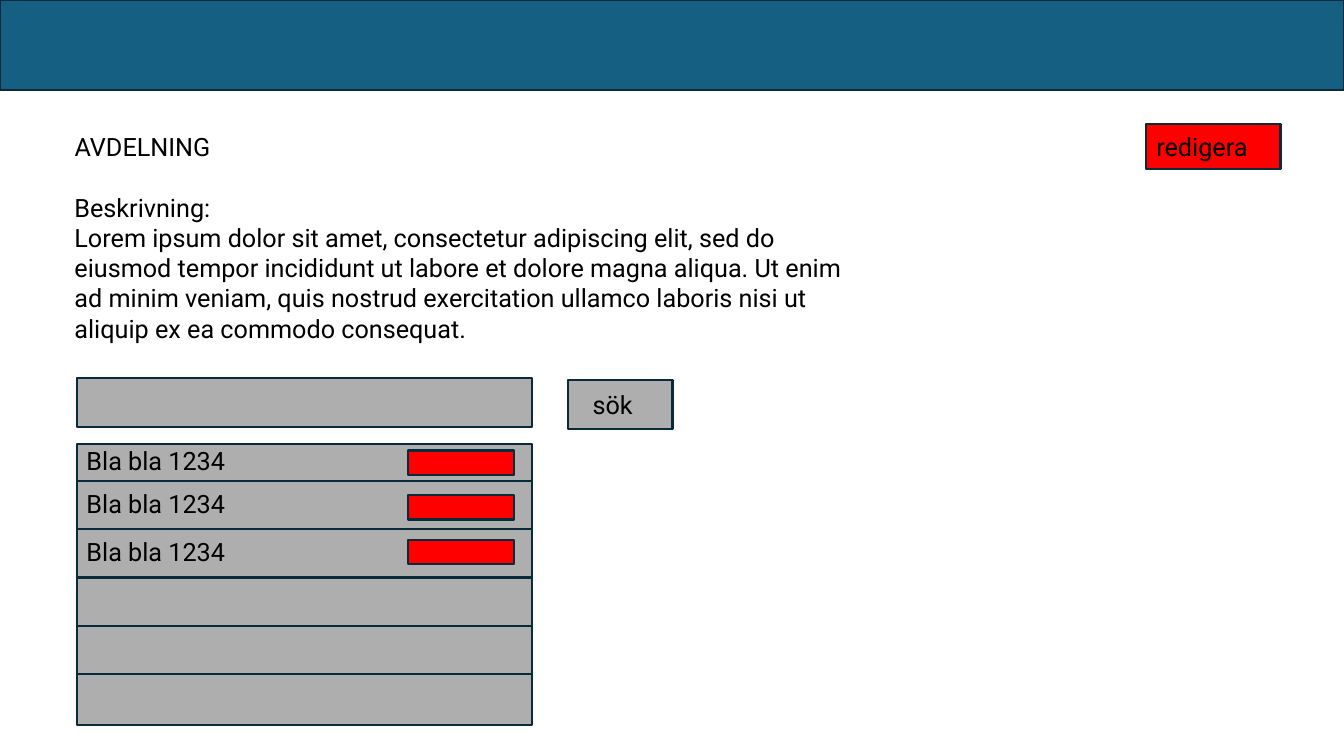
import pptx
import pptx.util
import pptx.dml.color
import pptx.enum.shapes
import pptx.enum.text

WIDTH = pptx.util.Inches(13.33)
HEIGHT = pptx.util.Inches(7.5)
COLUMN = WIDTH / 100
ROW = HEIGHT / 100

BLUE = "156082"
RED = "FF0000"
GREY = "AEAEAE"
OUTLINE = "092A39"
BLACK = "000000"

LIST_LEFT = 5.7
LIST_WIDTH = 33.91
LIST_TOP = 58.67
FIRST_DIVIDER = 63.6
ROW_HEIGHT = 6.4
TEXT_HEIGHT = 5.33

DESCRIPTION = (
    "Lorem ipsum dolor sit amet, consectetur adipiscing elit, sed do eiusmod "
    "tempor incididunt ut labore et dolore magna aliqua. Ut enim ad minim veniam, "
    "quis nostrud exercitation ullamco laboris nisi ut aliquip ex ea commodo consequat."
)


def color(value):
    return pptx.dml.color.RGBColor.from_string(value)


def area(left, top, width, height):
    return (round(left * COLUMN), round(top * ROW),
            round(width * COLUMN), round(height * ROW))


def add_block(page, place, fill):
    block = page.shapes.add_shape(
        pptx.enum.shapes.MSO_SHAPE.RECTANGLE, *area(*place))
    block.shadow.inherit = False
    block.fill.solid()
    block.fill.fore_color.rgb = color(fill)
    block.line.color.rgb = color(OUTLINE)
    block.line.width = pptx.util.Pt(1.5)


def write(box, *lines):
    frame = box.text_frame
    frame.text = "\n".join(lines)
    frame.word_wrap = True
    frame.auto_size = pptx.enum.text.MSO_AUTO_SIZE.NONE
    frame.vertical_anchor = pptx.enum.text.MSO_ANCHOR.TOP
    for para in frame.paragraphs:
        para.alignment = pptx.enum.text.PP_ALIGN.LEFT
        para.font.name = "Roboto"
        para.font.size = pptx.util.Pt(18)
        para.font.color.rgb = color(BLACK)


def add_text(page, place, *lines):
    write(page.shapes.add_textbox(*area(*place)), *lines)


def add_title(page, place, text):
    title = page.shapes.title
    title.left, title.top, title.width, title.height = area(*place)
    write(title, text)


def add_result_list(page):
    add_block(page, (LIST_LEFT, LIST_TOP, LIST_WIDTH, 37.2), GREY)
    for index in range(4):
        top = FIRST_DIVIDER + index * ROW_HEIGHT
        add_block(page, (LIST_LEFT, top, LIST_WIDTH, ROW_HEIGHT), GREY)
    label_tops = (LIST_TOP - 0.4, FIRST_DIVIDER + 0.27,
                  FIRST_DIVIDER + ROW_HEIGHT + 0.27)
    for index, top in enumerate(label_tops):
        add_text(page, (LIST_LEFT, top, 13, TEXT_HEIGHT), "Bla bla 1234")
        add_block(page, (30.38, 59.6 + index * 5.93, 7.88, 3.2), RED)


def main():
    deck = pptx.Presentation()
    deck.slide_width = WIDTH
    deck.slide_height = HEIGHT
    page = deck.slides.add_slide(deck.slide_layouts.get_by_name("Title Only"))

    add_block(page, (0, 0, 100, 11.87), BLUE)
    add_title(page, (4.8, 16.67, 59.19, TEXT_HEIGHT), "AVDELNING")
    add_text(page, (4.8, 24.73, 59.19, 25.4), "Beskrivning:", DESCRIPTION)

    add_block(page, (85.3, 16.4, 9.98, 6), RED)
    add_text(page, (85.3, 16.67, 12.15, TEXT_HEIGHT), "redigera")

    add_block(page, (LIST_LEFT, 50, LIST_WIDTH, 6.53), GREY)
    add_block(page, (42.24, 50.27, 7.8, 6.53), GREY)
    add_text(page, (43.36, 50.8, 9.6, TEXT_HEIGHT), "sök")

    add_result_list(page)
    deck.save("out.pptx")


if __name__ == "__main__":
    main()
